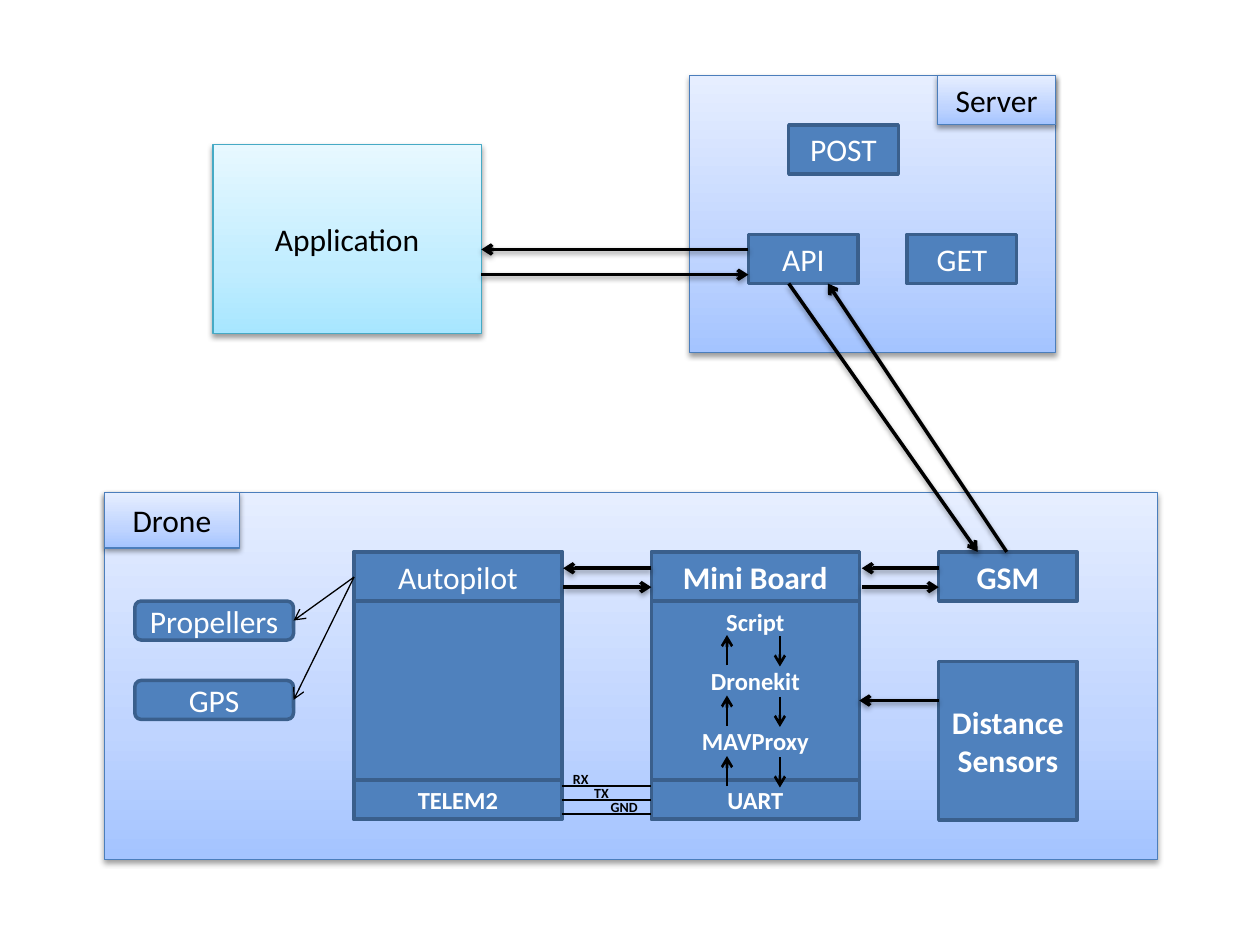
from dataclasses import dataclass

from pptx import Presentation
from pptx.dml.color import RGBColor
from pptx.enum.shapes import MSO_CONNECTOR, MSO_SHAPE
from pptx.enum.text import MSO_ANCHOR, PP_ALIGN
from pptx.oxml import parse_xml
from pptx.util import Inches, Pt

RECTANGLE, ROUNDED = MSO_SHAPE.RECTANGLE, MSO_SHAPE.ROUNDED_RECTANGLE
STRAIGHT = MSO_CONNECTOR.STRAIGHT
CENTER, RIGHT = PP_ALIGN.CENTER, PP_ALIGN.RIGHT
TOP, MIDDLE = MSO_ANCHOR.TOP, MSO_ANCHOR.MIDDLE
DRAWING = 'xmlns:a="http://schemas.openxmlformats.org/drawingml/2006/main"'


@dataclass(frozen=True)
class Theme:
    font: str = "Calibri"
    large: int = 18
    medium: int = 14
    small: int = 8
    black: str = "000000"
    white: str = "FFFFFF"
    # Each style: gradient stops from bottom to top, line colour, line width
    panel: tuple = (("A4C4FF", "BFD4FF", "E6EEFF"), "4B7EBC", 0.75)
    client: tuple = (("A7E6FF", "C1EDFF", "E7F8FF"), "46AAC5", 0.75)
    block: tuple = (("4F81BD",), "3A5F8C", 2)
    label: tuple = ((), None, 0)


theme = Theme()
SHADOW = (f'<a:effectLst {DRAWING}><a:outerShdw blurRad="{Pt(3.1)}" dist="{Pt(1.6)}" '
          'dir="5400000" rotWithShape="0"><a:srgbClr val="000000">'
          '<a:alpha val="38000"/></a:srgbClr></a:outerShdw></a:effectLst>')
NO_SHADOW = f'<a:effectLst {DRAWING}/>'

presentation = Presentation()
presentation.slide_width, presentation.slide_height = Inches(10), Inches(7.5)
slide = presentation.slides.add_slide(presentation.slide_layouts[6])


def add_box(place, style, text="", size=theme.large, bold=False, kind=RECTANGLE,
            align=CENTER, anchor=MIDDLE, gap=0):
    """Add a filled box, or a plain label, with one paragraph per line of text."""
    place = [Inches(length) for length in place]
    stops, line_color, line_width = style
    if stops:
        shape = slide.shapes.add_shape(kind, *place)
        shape.line.color.rgb = RGBColor.from_string(line_color)
        shape.line.width = Pt(line_width)
        properties = shape._element.spPr
        if len(stops) == 1:
            shape.fill.solid()
            shape.fill.fore_color.rgb = RGBColor.from_string(stops[0])
            shape.shadow.inherit = False
        else:
            colors = "".join(f'<a:gs pos="{position}"><a:srgbClr val="{color}"/></a:gs>'
                             for position, color in zip((0, 35000, 100000), stops))
            properties.ln.addprevious(parse_xml(
                f'<a:gradFill {DRAWING} rotWithShape="1"><a:gsLst>{colors}</a:gsLst>'
                '<a:lin ang="16200000" scaled="0"/></a:gradFill>'))
            properties.append(parse_xml(SHADOW))
    else:
        shape = slide.shapes.add_textbox(*place)
    if not text:
        return
    frame = shape.text_frame
    frame.word_wrap = True
    frame.vertical_anchor = anchor
    frame.text = text
    color = theme.black if len(stops) == 3 or align == RIGHT else theme.white
    for number, paragraph in enumerate(frame.paragraphs):
        paragraph.alignment = align
        paragraph.space_before = Pt(gap if number else 0)
        font = paragraph.runs[0].font
        font.name, font.size, font.bold = theme.font, Pt(size), bold
        font.color.rgb = RGBColor.from_string(color)


def add_line(start, end, width, head=True, shadow=False):
    """Add a straight line, with an arrowhead at its end if asked."""
    connector = slide.shapes.add_connector(
        STRAIGHT, *(Inches(length) for length in (*start, *end)))
    connector.line.color.rgb = RGBColor.from_string(theme.black)
    connector.line.width = Pt(width)
    properties = connector._element.spPr
    if head:
        properties.ln.append(parse_xml(f'<a:tailEnd {DRAWING} type="arrow"/>'))
    properties.append(parse_xml(SHADOW if shadow else NO_SHADOW))


# Grid of the drone: columns, rows and block sizes
parts_x, pilot_x, computer_x, radio_x = 1.07, 2.81, 5.17, 7.45
parts_width, board_width, radio_width = 1.26, 1.65, 1.1
head_y, head_height = 4.38, 0.39
port_y, port_height = 6.19, 0.31
board_height = port_y + port_height - head_y
pilot_right, computer_right = pilot_x + board_width, computer_x + board_width

# Drone panel and radio
add_box((0.83, 3.91, 8.36, 2.91), theme.panel)
add_box((0.83, 3.91, 1.07, 0.44), theme.panel, "Drone")
add_box((radio_x, head_y, radio_width, head_height), theme.block, "GSM", bold=True)

# Two boards, each with a header and a port
for left, name, name_bold, port in ((computer_x, "Mini Board", True, "UART"),
                                    (pilot_x, "Autopilot", False, "TELEM2")):
    add_box((left, head_y, board_width, board_height), theme.block)
    add_box((left, head_y, board_width, head_height), theme.block, name, bold=name_bold)
    add_box((left, port_y, board_width, port_height), theme.block, port,
            theme.medium, True)

# Software stack with arrows up and down between its layers
add_box((computer_x, head_y + head_height, board_width, 1.28), theme.label,
        "Script\nDronekit\nMAVProxy", theme.medium, True, anchor=TOP, gap=17)
for layer in range(3):
    top = 5.04 + 0.48 * layer
    add_line((5.77, top + 0.24), (5.77, top), 1.5)
    add_line((6.19, top + 0.01), (6.19, top + 0.25), 1.5)

# Parts driven by the autopilot
for row, part in enumerate(("Propellers", "GPS")):
    top = 4.77 + 0.63 * row
    add_box((parts_x, top, parts_width, port_height), theme.block, part, kind=ROUNDED)
    add_line((pilot_x, 4.58), (parts_x + parts_width, top + port_height / 2), 0.75)

# Serial wires
for row, (wire, left, width) in enumerate((("RX", 4.3, 0.47), ("TX", 4.54, 0.39),
                                           ("GND", 4.72, 0.44))):
    wire_y = 6.24 + 0.11 * row
    add_line((pilot_right, wire_y), (computer_x, wire_y), 1, head=False)
    add_box((left, wire_y - 0.17, width, 0.24), theme.label, wire, theme.small, True,
            align=RIGHT, anchor=TOP)

# Distance sensors
add_box((radio_x, 5.25, radio_width, 1.26), theme.block, "Distance\nSensors", bold=True)

# Server panel and its endpoints
add_box((5.47, 0.6, 2.91, 2.2), theme.panel)
add_box((7.44, 0.6, 0.94, 0.39), theme.panel, "Server")
for left, top, endpoint in ((5.94, 1.86, "API"), (6.26, 0.99, "POST"), (7.2, 1.86, "GET")):
    add_box((left, top, 0.87, 0.39), theme.block, endpoint)

# Application
add_box((1.69, 1.15, 2.13, 1.5), theme.client, "Application")

# Two-way links: to the right below, to the left above
for left, right, upper, lower in ((computer_right + 0.02, radio_x, 4.51, 4.66),
                                  (pilot_right + 0.01, computer_x, 4.51, 4.66),
                                  (3.82, 5.94, 1.98, 2.18)):
    add_line((left, lower), (right, lower), 2, shadow=True)
    add_line((right, upper), (left, upper), 2, shadow=True)

# Links between server and radio, and from the sensors
for start, end in (((7.99, head_y), (6.57, 2.25)), ((6.26, 2.25), (7.76, head_y)),
                   ((radio_x, 5.56), (computer_right, 5.56))):
    add_line(start, end, 2, shadow=True)

presentation.save("out.pptx")
